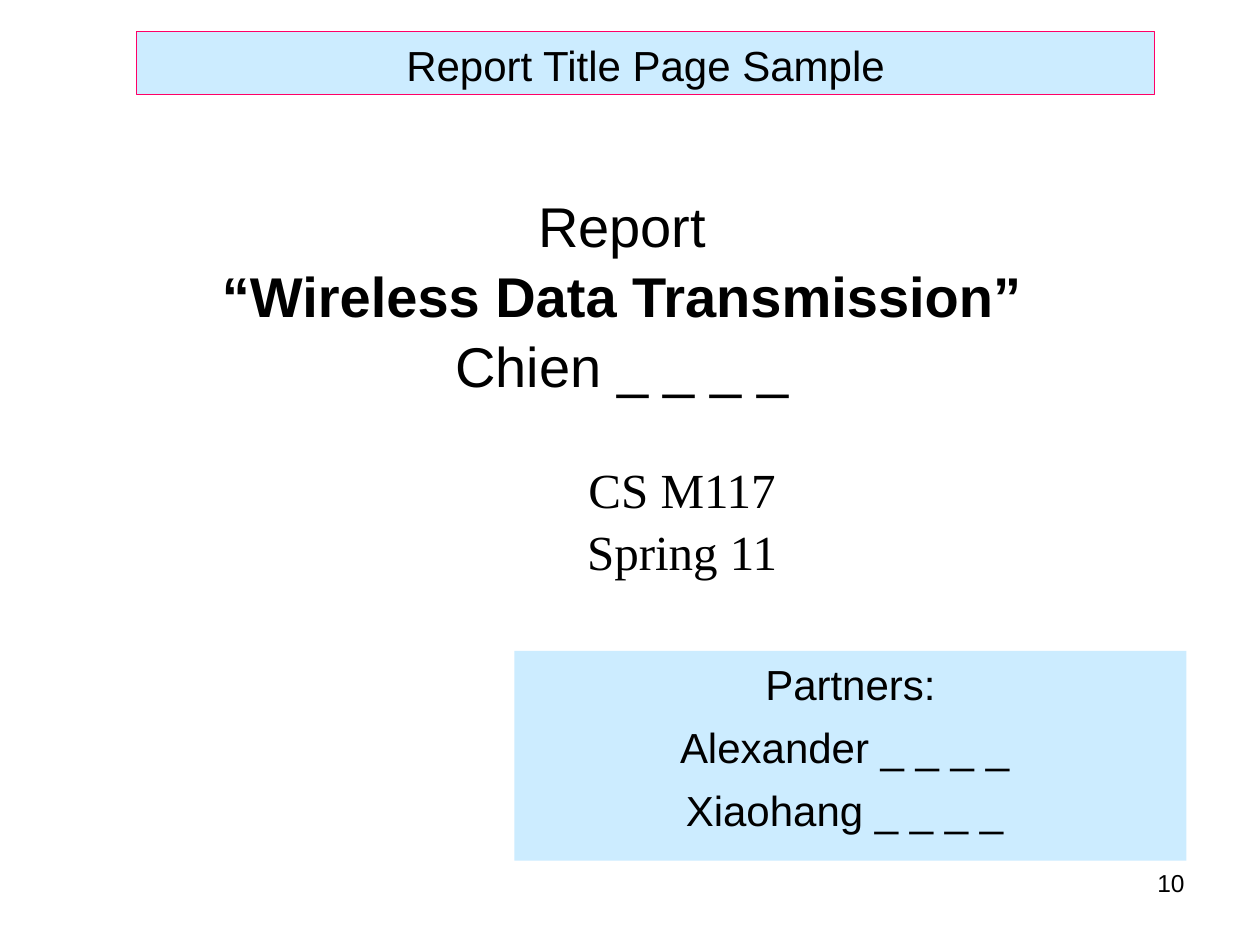
from pptx import Presentation
from pptx.dml.color import RGBColor
from pptx.enum.shapes import MSO_SHAPE
from pptx.enum.text import MSO_ANCHOR, PP_ALIGN
from pptx.util import Cm, Pt

RECT = MSO_SHAPE.RECTANGLE
TOP, MIDDLE = MSO_ANCHOR.TOP, MSO_ANCHOR.MIDDLE
CENTER, RIGHT = PP_ALIGN.CENTER, PP_ALIGN.RIGHT
COLORS = {"text": "000000", "panel": "CCECFF", "edge": "FF0066"}
SANS, SERIF = "Arial", "Times New Roman"
LEADING = 1.04


def color(name):
    return RGBColor.from_string(COLORS[name])


def add_run(para, text, size, font, bold=False):
    run = para.add_run()
    run.text = text
    run.font.size = Pt(size)
    run.font.name = font
    run.font.bold = bold
    run.font.color.rgb = color("text")


def set_frame(shape, anchor):
    frame = shape.text_frame
    frame.word_wrap = True
    frame.vertical_anchor = anchor
    return frame


def add_para(frame, index, align, before=0):
    para = frame.add_paragraph() if index else frame.paragraphs[0]
    para.alignment = align
    para.space_before = Pt(before)
    para.line_spacing = LEADING
    return para


def fill_text(shape, lines, size, font=SANS, align=CENTER, before=0):
    frame = set_frame(shape, TOP)
    for index, line in enumerate(lines):
        add_run(add_para(frame, index, align, before), line, size, font)


def add_box(slide, left, top, width, height):
    return slide.shapes.add_textbox(Cm(left), Cm(top), Cm(width), Cm(height))


def add_panel(slide, left, top, width, height, edge=None):
    panel = slide.shapes.add_shape(RECT, Cm(left), Cm(top), Cm(width), Cm(height))
    panel.shadow.inherit = False
    panel.fill.solid()
    panel.fill.fore_color.rgb = color("panel")
    if edge:
        panel.line.color.rgb = color(edge)
        panel.line.width = Pt(0.75)
    else:
        panel.line.fill.background()
    return panel


def add_title(slide, lines):
    box = add_box(slide, 1.7, 2.75, 22, 6.35)
    para = add_para(set_frame(box, MIDDLE), 0, CENTER)
    for index, (text, bold) in enumerate(lines):
        if index:
            para.add_line_break()
        add_run(para, text, 32, SANS, bold)


def main():
    deck = Presentation()
    deck.slide_width, deck.slide_height = Cm(25.4), Cm(19.05)
    slide = deck.slides.add_slide(deck.slide_layouts[6])

    # Page number
    fill_text(add_box(slide, 18.2, 17.36, 5.93, 1.32), ["10"], 14, align=RIGHT)

    # Report title and author
    add_title(slide, [
        ("Report ", False),
        ("“Wireless Data Transmission” ", True),
        ("Chien _ _ _ _ ", False),
    ])

    # Partners
    partners = add_panel(slide, 10.37, 13.12, 13.55, 4.23)
    names = ["Partners:", "Alexander _ _ _ _ ", "Xiaohang _ _ _ _ "]
    fill_text(partners, names, 24, before=6)

    # Course and term
    course = add_box(slide, 8.25, 9.1, 11, 2.65)
    fill_text(course, ["CS M117", "Spring 11"], 28, SERIF)

    # Heading bar
    bar = add_panel(slide, 2.75, 0.63, 20.53, 1.28, "edge")
    fill_text(bar, ["Report Title Page Sample"], 24)

    deck.save("out.pptx")


main()
